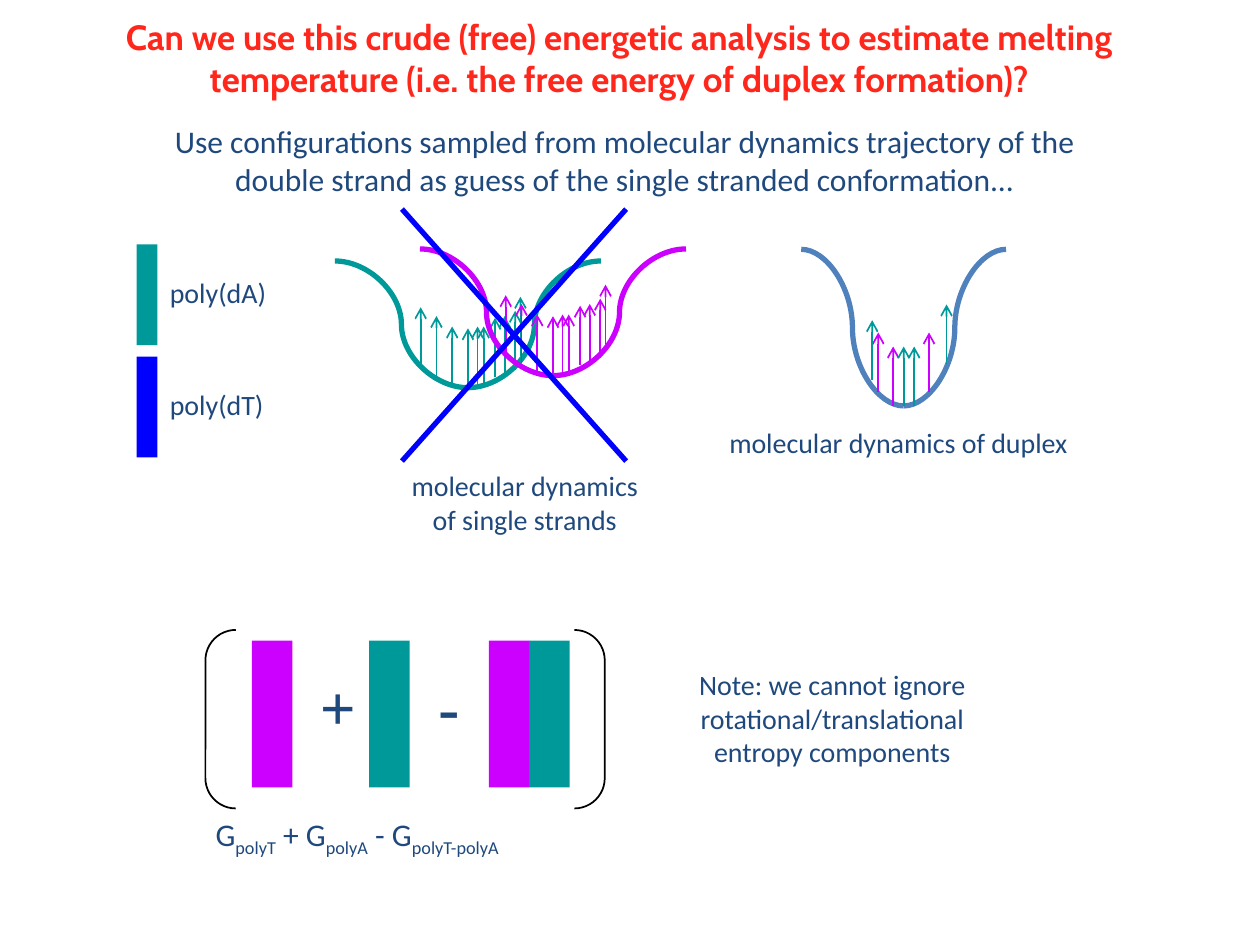
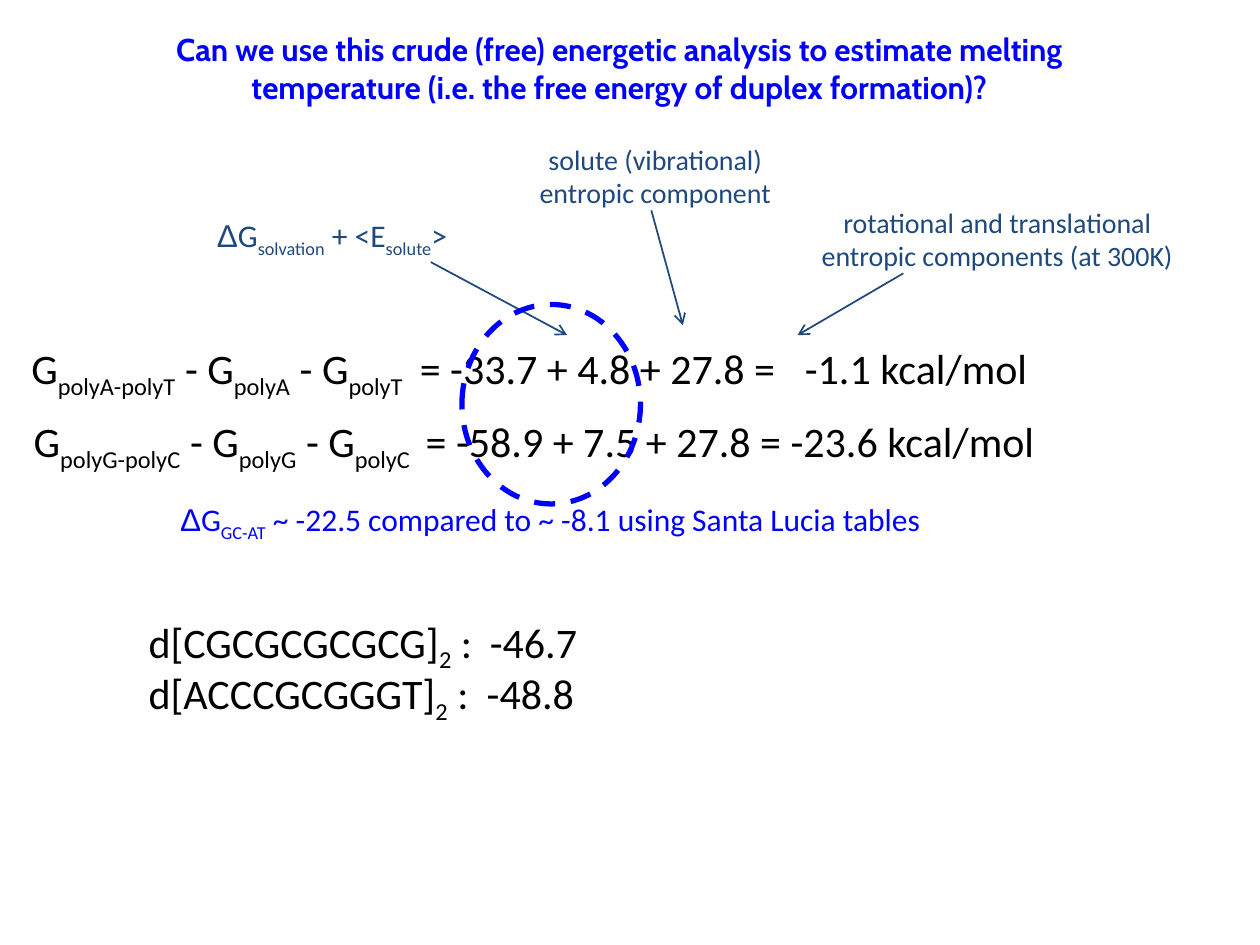
"""Build two slides on estimating duplex melting from free energies."""
from dataclasses import dataclass

from lxml.etree import SubElement as Sub
from pptx import Presentation
from pptx.dml.color import RGBColor as Rgb
from pptx.enum.dml import MSO_LINE_DASH_STYLE as Dash
from pptx.enum.shapes import MSO_CONNECTOR as Link, MSO_SHAPE as Kind
from pptx.enum.text import MSO_ANCHOR as Anchor, PP_ALIGN as Align
from pptx.oxml.ns import qn
from pptx.util import Pt


@dataclass(frozen=True)
class Theme:
    navy: str = "1F497D"
    blue: str = "0000FF"
    red: str = "FF261B"
    teal: str = "009999"
    pink: str = "CC00FF"
    steel: str = "4F81BD"
    black: str = "000000"
    body: str = "Calibri"
    head: str = "Cabin"
    greek: str = "Arial"
    sign: str = "Times New Roman"
    note: int = 16
    text: int = 18
    title: int = 20
    large: int = 24
    huge: int = 36
    thin: float = 1
    thick: float = 3


T = Theme()

TITLE = ("Can we use this crude (free) energetic analysis to estimate melting "
         "temperature (i.e. the free energy of duplex formation)?")
LEAD = ("Use configurations sampled from molecular dynamics trajectory of the "
        "double strand as guess of the single stranded conformation...")
LEGEND = [("poly(dA)", T.teal, 139.7), ("poly(dT)", T.blue, 203.8)]
NOTES = [
    ("molecular dynamics of single strands", (221.8, 264.2, 156.2, 46)),
    ("molecular dynamics of duplex", (365.8, 239.8, 295.2, 26.6)),
    ("Note: we cannot ignore rotational/translational entropy components",
     (383.8, 378, 183.6, 65)),
]
BARS = [(144, T.pink), (211, T.teal), (279.4, T.pink), (302.4, T.teal)]
SIGNS = [("+", 175.7), ("-", 243.4)]
SUM = "G|polyT| + G|polyA| - G|polyT-polyA|"

SINGLE = [(9, 1), (-9, 1), (-18, 7), (-27, 12), (0, 0), (5.5, 1),
          (30, 18), (27, 10), (21, 7), (15.5, 6)]
WELLS = [
    ((516.4, 232), (58.5, 89.5), T.steel, [
        (T.pink, [(14.5, 8), (-14.5, 8), (-6, 0)]),
        (T.teal, [(0, 0), (6, 0), (-18, 15), (24.5, 24)])]),
    ((267.4, 221.6), (76, 72.4), T.teal, [(T.teal, SINGLE)]),
    ((316, 214.7), (76, 72.4), T.pink, [(T.pink, SINGLE)]),
]
RISE = 34
CROSS = (229.7, 119.5, 357.8, 263.5)

SUMS = [
    ("G|polyA-polyT| - G|polyA| - G|polyT|\t= -33.7 + 4.8 + 27.8 =\t-1.1 kcal/mol",
     (10.8, 192.2, 661, 36), (222, 442)),
    ("G|polyG-polyC| - G|polyG| - G|polyC|\t= -58.9 + 7.5 + 27.8 = -23.6 kcal/mol",
     (12.2, 234, 652, 36), (224,)),
    ("d[CGCGCGCGCG]|2| :\t-46.7", (77.8, 348.5, 290, 36), (195,)),
    ("d[ACCCGCGGGT]|2| :\t-48.8", (77.8, 378, 290, 36), (193.2,)),
]
TERMS = [
    ("rotational and translational entropic components (at 300K)",
     (450, 113.8, 239.8, 46), T.note, (516.2, 156.2), (455.8, 191.5)),
    ("ΔG|solvation| + <E|solute|>",
     (90, 120.2, 199.4, 31), T.text, (246.2, 149.8), (324, 191.5)),
    ("solute (vibrational) entropic component",
     (293.8, 77.8, 161.3, 46), T.note, (372.2, 120.2), (390.2, 185.8)),
]
RESULT = "ΔG|GC-AT| ~ -22.5 compared to ~ -8.1 using Santa Lucia tables"


def pts(vals):
    return [Pt(v) for v in vals]


def add_runs(para, text):
    for n, part in enumerate(text.split("|")):
        bits = ("Δ", part[1:]) if part.startswith("Δ") else (part,)
        for bit in filter(None, bits):
            run = para.add_run()
            run.text = bit
            if bit == "Δ":
                run.font.name = T.greek
            if n % 2:
                run._r.get_or_add_rPr().set("baseline", "-25000")


def write(slide, text, box, size=T.note, hue=T.navy, face=T.body,
          bold=False, align=Align.LEFT, tabs=(), anchor=Anchor.TOP):
    frame = slide.shapes.add_textbox(*pts(box)).text_frame
    frame.word_wrap = True
    frame.vertical_anchor = anchor
    para = frame.paragraphs[0]
    add_runs(para, text)
    para.alignment = align
    if tabs:
        stops = Sub(para._p.get_or_add_pPr(), qn("a:tabLst"))
        for pos in tabs:
            Sub(stops, qn("a:tab"), pos=str(int(Pt(pos))), algn="l")
    font = para.font
    font.size, font.name, font.bold = Pt(size), face, bold
    font.color.rgb = Rgb.from_string(hue)


def add_title(slide, box, size, hue):
    write(slide, TITLE, box, size, hue, T.head, True, Align.CENTER,
          anchor=Anchor.MIDDLE)


def draw(slide, kind, box, fill=None, line=None, width=T.thin):
    shape = slide.shapes.add_shape(kind, *pts(box))
    shape.shadow.inherit = False
    if fill:
        shape.fill.solid()
        shape.fill.fore_color.rgb = Rgb.from_string(fill)
    else:
        shape.fill.background()
    if line:
        shape.line.color.rgb = Rgb.from_string(line)
        shape.line.width = Pt(width)
    else:
        shape.line.fill.background()
    return shape


def join(slide, start, end, hue, width=T.thin, kind=Link.STRAIGHT, arrow=False):
    link = slide.shapes.add_connector(kind, *pts((*start, *end)))
    link.line.color.rgb = Rgb.from_string(hue)
    link.line.width = Pt(width)
    if arrow:
        Sub(link.line._get_or_add_ln(), qn("a:tailEnd"), type="arrow")
    Sub(link._element.spPr, qn("a:effectLst"))


def add_well(slide, base, span, hue, sets):
    x, y = base
    wide, high = span
    for side in (wide, -wide):
        join(slide, base, (x + side, y - high), hue, T.thick, Link.CURVE)
    for tint, spots in sets:
        for dx, up in spots:
            foot = (x + dx, y - up)
            join(slide, foot, (foot[0], foot[1] - RISE), tint, arrow=True)


def add_model(slide):
    for well in WELLS:
        add_well(slide, *well)
    left, top, right, low = CROSS
    join(slide, (right, top), (left, low), T.blue, T.thick)
    join(slide, (left, top), (right, low), T.blue, T.thick)
    write(slide, LEAD, (90, 66.2, 534.2, 50), T.text, align=Align.CENTER)
    for name, hue, top in LEGEND:
        draw(slide, Kind.RECTANGLE, (78, top, 12, 57.6), hue)
        write(slide, name, (90, top + 14, 80, 26.6))
    for text, box in NOTES:
        write(slide, text, box, align=Align.CENTER)
    for left, hue in BARS:
        draw(slide, Kind.RECTANGLE, (left, 366, 23.2, 84), hue)
    for mark, left in SIGNS:
        write(slide, mark, (left, 378, 40, 50), T.huge, face=T.sign, bold=True)
    pair = draw(slide, Kind.DOUBLE_BRACKET, (117.4, 360, 228.2, 102), line=T.black)
    pair.adjustments[0] = 0.17
    write(slide, SUM, (116.1, 462.2, 230, 31), T.text)
    add_title(slide, (48, 0, 612, 66), T.title, T.red)


def add_result(slide):
    for text, box, tabs in SUMS:
        write(slide, text, box, T.large, T.black, tabs=tabs)
    write(slide, RESULT, (95.8, 282.2, 540, 31), T.text, T.blue)
    for text, box, size, start, end in TERMS:
        write(slide, text, box, size, align=Align.CENTER)
        join(slide, start, end, T.navy, arrow=True)
    add_title(slide, (48, 12, 612, 54), T.text, T.blue)
    ring = draw(slide, Kind.OVAL, (264, 174, 102, 114), line=T.blue, width=T.thick)
    ring.line.dash_style = Dash.DASH


def main():
    deck = Presentation()
    deck.slide_width, deck.slide_height = Pt(720), Pt(540)
    for build in (add_model, add_result):
        build(deck.slides.add_slide(deck.slide_layouts[6]))
    deck.save("out.pptx")


if __name__ == "__main__":
    main()
